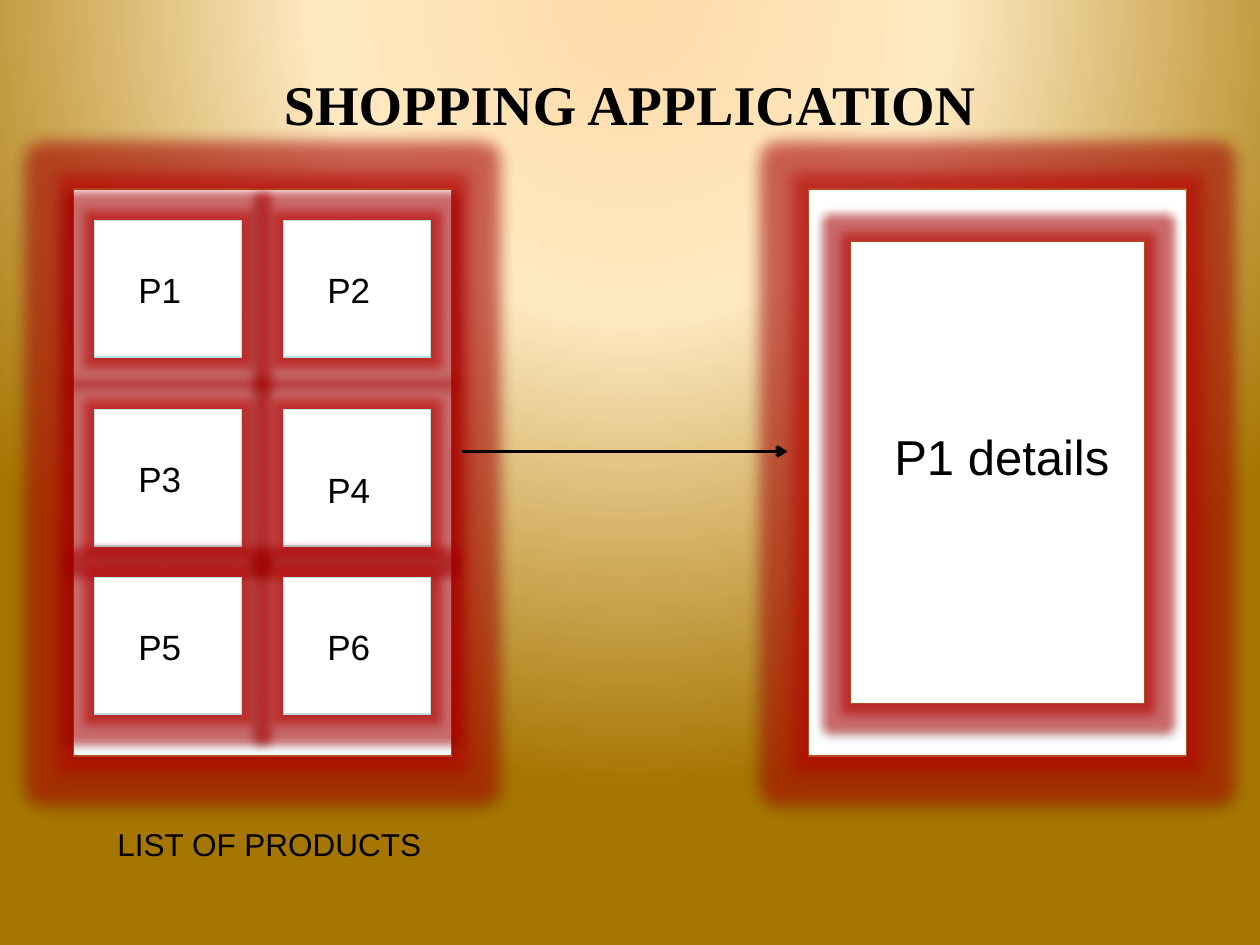
from dataclasses import dataclass

from lxml.etree import SubElement
from pptx import Presentation
from pptx.dml.color import RGBColor
from pptx.enum.shapes import MSO_CONNECTOR as Connector, MSO_SHAPE as Preset
from pptx.enum.text import MSO_AUTO_SIZE as AutoSize, PP_ALIGN as Align
from pptx.oxml import parse_xml
from pptx.oxml.ns import nsdecls, qn
from pptx.slide import Slide
from pptx.util import Emu, Pt

PX_PER_INCH = 120
EMU_PER_PX = 914400 // PX_PER_INCH


@dataclass(frozen=True)
class Theme:
    white: str = "FFFFFF"
    black: str = "000000"
    panel_line: str = "B74A1D"
    tile_line: str = "BBE0E3"
    glow: str = "C00000"
    backdrop: tuple = ((0, "FFDBA9"), (40, "FFE9C2"), (100, "A67602"))
    body_font: str = "Arial"
    title_font: str = "Times New Roman"
    label_size: int = 20
    caption_size: int = 18
    detail_size: int = 28
    title_size: int = 32
    panel_glow: int = 18
    tile_glow: int = 11


THEME = Theme()


@dataclass(frozen=True)
class Frame:
    left: int
    top: int
    width: int
    height: int

    def emu(self) -> tuple:
        return tuple(map(px, (self.left, self.top, self.width, self.height)))


@dataclass(frozen=True)
class Card:
    frame: Frame
    line: str
    glow: int


@dataclass(frozen=True)
class Label:
    text: str
    frame: Frame
    size: int
    font: str = THEME.body_font
    bold: bool = False
    align: Align = Align.LEFT


@dataclass(frozen=True)
class Product:
    name: str
    left: int
    top: int
    label_drop: int = 40


def px(value: int) -> Emu:
    return Emu(value * EMU_PER_PX)


def rgb(value: str) -> RGBColor:
    return RGBColor.from_string(value)


def add_effect(effects, tag: str, color: str, alpha: int, **attributes) -> None:
    effect = SubElement(effects, qn(tag), {k: str(v) for k, v in attributes.items()})
    tint = SubElement(effect, qn("a:srgbClr"), val=color)
    SubElement(tint, qn("a:alpha"), val=str(alpha * 1000))


def paint_backdrop(page: Slide) -> None:
    page.background.fill.solid()
    solid = page.element.find(".//" + qn("p:bgPr")).find(qn("a:solidFill"))
    stops = "".join(
        f'<a:gs pos="{position * 1000}"><a:srgbClr val="{color}"/></a:gs>'
        for position, color in THEME.backdrop
    )
    gradient = parse_xml(
        f'<a:gradFill {nsdecls("a")} rotWithShape="1"><a:gsLst>{stops}</a:gsLst>'
        '<a:path path="circle"><a:fillToRect l="50000" t="-80000" r="50000" b="180000"/>'
        "</a:path></a:gradFill>"
    )
    solid.getparent().replace(solid, gradient)


def draw_card(page: Slide, card: Card) -> None:
    """Draw a white rectangle with a red glow and a soft shadow."""
    box = page.shapes.add_shape(Preset.RECTANGLE, *card.frame.emu())
    box.fill.solid()
    box.fill.fore_color.rgb = rgb(THEME.white)
    box.line.color.rgb = rgb(card.line)
    box.line.width = Pt(0.75)
    box.shadow.inherit = False
    effects = box.element.spPr.find(qn("a:effectLst"))
    add_effect(effects, "a:glow", THEME.glow, 50, rad=Pt(card.glow))
    add_effect(effects, "a:outerShdw", THEME.black, 35, blurRad=Pt(3.1),
               dist=Pt(1.8), dir=90 * 60000, rotWithShape=0)


def draw_label(page: Slide, label: Label) -> None:
    box = page.shapes.add_textbox(*label.frame.emu())
    box.text_frame.word_wrap = True
    box.text_frame.auto_size = AutoSize.SHAPE_TO_FIT_TEXT
    para = box.text_frame.paragraphs[0]
    para.text = label.text
    para.alignment = label.align
    para.font.name = label.font
    para.font.size = Pt(label.size)
    para.font.bold = label.bold
    para.font.color.rgb = rgb(THEME.black)


def draw_arrow(page: Slide, start: int, end: int, level: int) -> None:
    arrow = page.shapes.add_connector(
        Connector.STRAIGHT, px(start), px(level), px(end), px(level))
    arrow.line.color.rgb = rgb(THEME.black)
    arrow.line.width = Pt(2)
    properties = arrow.element.spPr
    SubElement(properties.find(qn("a:ln")), qn("a:tailEnd"), type="arrow")
    SubElement(properties, qn("a:effectLst"))


PANELS = [Card(Frame(left, 180, 360, 540), THEME.panel_line, THEME.panel_glow)
          for left in (70, 770)]
DETAIL = Card(Frame(810, 230, 280, 440), THEME.panel_line, THEME.tile_glow)
PRODUCTS = [
    Product("P1", 90, 210), Product("P2", 270, 210),
    Product("P3", 90, 390), Product("P4", 270, 390, label_drop=50),
    Product("P5", 90, 550), Product("P6", 270, 550),
]
TILES = [Card(Frame(item.left, item.top, 140, 130), THEME.tile_line, THEME.tile_glow)
         for item in PRODUCTS]
LABELS = [
    Label(item.name, Frame(item.left + 30, item.top + item.label_drop, 70, 53),
          THEME.label_size)
    for item in PRODUCTS
] + [
    Label("LIST OF PRODUCTS", Frame(100, 780, 340, 48), THEME.caption_size),
    Label("P1 details", Frame(840, 400, 280, 68), THEME.detail_size),
    Label("SHOPPING APPLICATION", Frame(210, 60, 780, 77), THEME.title_size,
          THEME.title_font, bold=True, align=Align.CENTER),
]


def main() -> None:
    deck = Presentation()
    deck.slide_width, deck.slide_height = px(1200), px(900)
    page = deck.slides.add_slide(deck.slide_layouts[6])
    paint_backdrop(page)
    for card in (*PANELS, *TILES, DETAIL):
        draw_card(page, card)
    draw_arrow(page, start=440, end=750, level=430)
    for label in LABELS:
        draw_label(page, label)
    deck.save("out.pptx")


if __name__ == "__main__":
    main()
